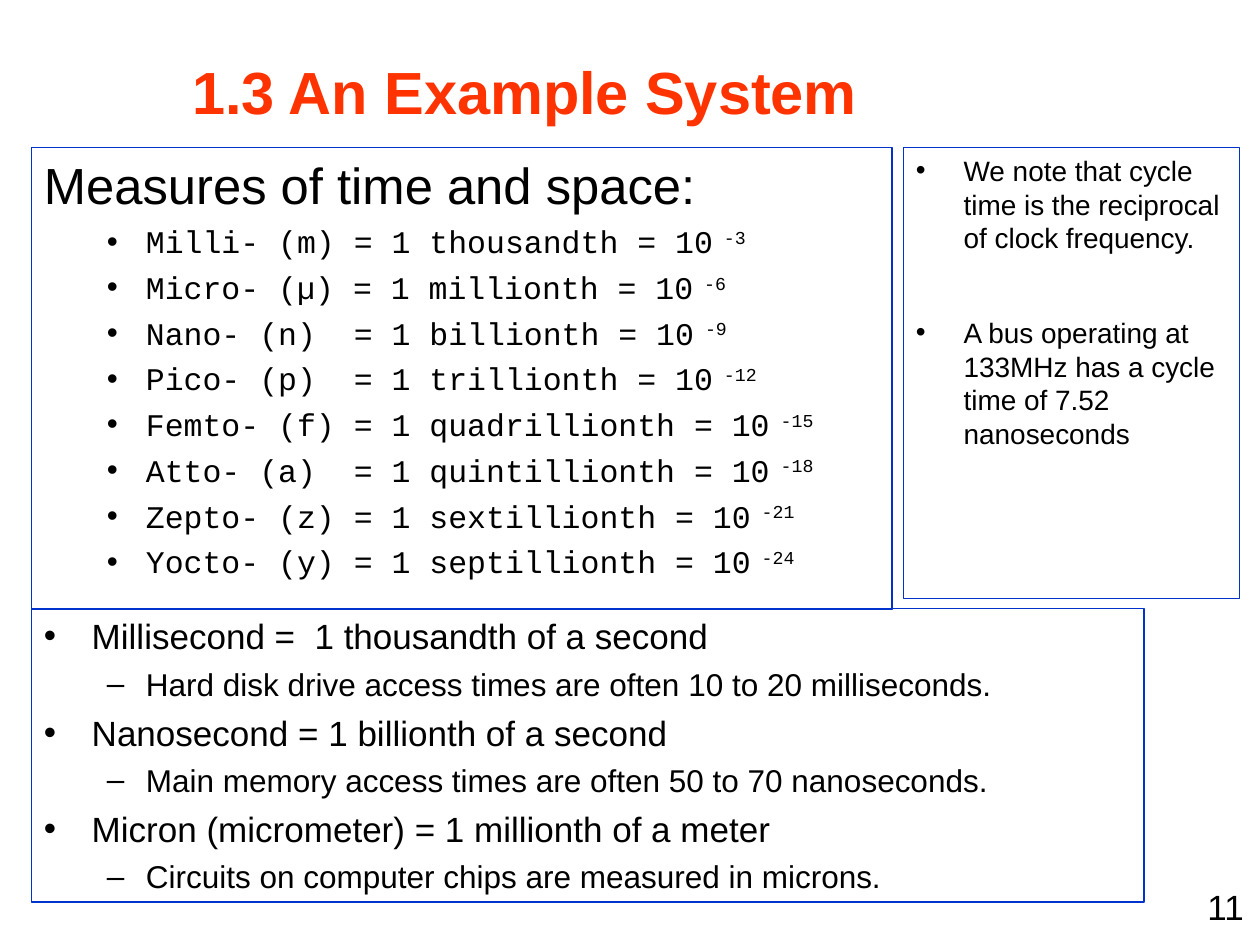
from dataclasses import dataclass

from lxml import etree
from pptx import Presentation
from pptx.dml.color import RGBColor
from pptx.enum import shapes, text
from pptx.oxml import ns
from pptx.util import Inches, Pt

BLACK = RGBColor(0x00, 0x00, 0x00)
BLUE = RGBColor(0x00, 0x33, 0xCC)
RED = RGBColor(0xFF, 0x33, 0x00)
SANS, MONO = "Arial", "Courier New"


@dataclass(frozen=True)
class Style:
    size: float
    before: float = 0
    level: int = 0
    bullet: str = ""
    margin: float = 0
    hang: float = 0
    font: str = SANS
    color: RGBColor = BLACK
    bold: bool = False
    align: text.PP_ALIGN = text.PP_ALIGN.LEFT


TITLE = Style(34, color=RED, bold=True, align=text.PP_ALIGN.CENTER)
NUMBER = Style(20, align=text.PP_ALIGN.RIGHT)
HEADING = Style(29, margin=0.38, hang=0.38)
PREFIX = Style(18, 4.5, 1, "•", 0.81, 0.31, MONO)
UNIT = Style(20, 5, 0, "•", 0.38, 0.38)
USE = Style(18, 4.5, 1, "–", 0.81, 0.31)
NOTE = Style(16, 35, 0, "•", 0.38, 0.38)

PREFIXES = [
    ("Milli- (m)", "thousandth", 3),
    ("Micro- (μ)", "millionth", 6),
    ("Nano- (n)", "billionth", 9),
    ("Pico- (p)", "trillionth", 12),
    ("Femto- (f)", "quadrillionth", 15),
    ("Atto- (a)", "quintillionth", 18),
    ("Zepto- (z)", "sextillionth", 21),
    ("Yocto- (y)", "septillionth", 24),
]
UNITS = [
    ("Millisecond =  1 thousandth of a second",
     "Hard disk drive access times are often 10 to 20 milliseconds."),
    ("Nanosecond = 1 billionth of a second",
     "Main memory access times are often 50 to 70 nanoseconds."),
    ("Micron (micrometer) = 1 millionth of a meter",
     "Circuits on computer chips are measured in microns."),
]
NOTES = [
    "We note that cycle time is the reciprocal of clock frequency.",
    "A bus operating at 133MHz has a cycle time of 7.52 nanoseconds",
]


def add_bullet(para, char: str) -> None:
    props = para._p.get_or_add_pPr()
    color = etree.SubElement(props, ns.qn("a:buClr"))
    etree.SubElement(color, ns.qn("a:srgbClr"), val=str(BLACK))
    etree.SubElement(props, ns.qn("a:buFont"), typeface=SANS)
    etree.SubElement(props, ns.qn("a:buChar"), char=char)


def add_para(frame, style: Style, words: str = ""):
    """Fill the frame's first paragraph if it is unused, else append one."""
    first = frame.paragraphs[0]
    is_first = not first.runs
    para = first if is_first else frame.add_paragraph()
    if style.bullet:
        add_bullet(para, style.bullet)
    props = para._p.get_or_add_pPr()
    props.set("marL", str(Inches(style.margin)))
    props.set("indent", str(Inches(-style.hang)))
    para.level = style.level
    para.alignment = style.align
    para.space_before = Pt(0 if is_first else style.before)
    para.font.size = Pt(style.size)
    para.font.name = style.font
    para.font.bold = style.bold
    para.font.color.rgb = style.color
    if words:
        para.add_run().text = words
    return para


def add_prefix(frame, label: str, fraction: str, power: int) -> None:
    """Write one line of the prefix list, with its power of ten raised."""
    para = add_para(frame, PREFIX)
    line = f"{label:<10} = 1 {fraction} = 10"
    for part in line.partition("μ"):
        if part:
            span = para.add_run()
            span.text = part
            if part == "μ":
                span.font.name = SANS
    exponent = para.add_run()
    exponent.text = f" -{power}"
    exponent._r.get_or_add_rPr().set("baseline", "30000")


def set_frame(frame, anchor=text.MSO_ANCHOR.TOP):
    frame.word_wrap = True
    frame.vertical_anchor = anchor
    return frame


def add_label(page, left: float, top: float, width: float, height: float):
    box = page.shapes.add_textbox(
        Inches(left), Inches(top), Inches(width), Inches(height))
    return set_frame(box.text_frame)


def add_panel(page, left: float, top: float, width: float, height: float):
    """Add an unfilled blue outlined rectangle and return its text frame."""
    box = page.shapes.add_shape(
        shapes.MSO_SHAPE.RECTANGLE,
        Inches(left), Inches(top), Inches(width), Inches(height))
    box.shadow.inherit = False
    box.fill.background()
    box.line.color.rgb = BLUE
    box.line.width = Pt(0.75)
    return set_frame(box.text_frame)


def main() -> None:
    deck = Presentation()
    deck.slide_width, deck.slide_height = Inches(10), Inches(7.5)
    page = deck.slides.add_slide(deck.slide_layouts[6])

    add_para(add_label(page, 9.39, 6.98, 0.58, 0.52), NUMBER, "11")
    title = add_label(page, 0.75, 0.42, 6.83, 0.6)
    title.vertical_anchor = text.MSO_ANCHOR.MIDDLE
    add_para(title, TITLE, "1.3 An Example System")

    measures = add_panel(page, 0.25, 1.17, 6.83, 3.67)
    add_para(measures, HEADING, "Measures of time and space:")
    for label, fraction, power in PREFIXES:
        add_prefix(measures, label, fraction, power)

    examples = add_panel(page, 0.25, 4.83, 8.83, 2.33)
    for unit, use in UNITS:
        add_para(examples, UNIT, unit)
        add_para(examples, USE, use)

    notes = add_panel(page, 7.17, 1.17, 2.67, 3.58)
    for note in NOTES:
        add_para(notes, NOTE, note)

    deck.save("out.pptx")


if __name__ == "__main__":
    main()
